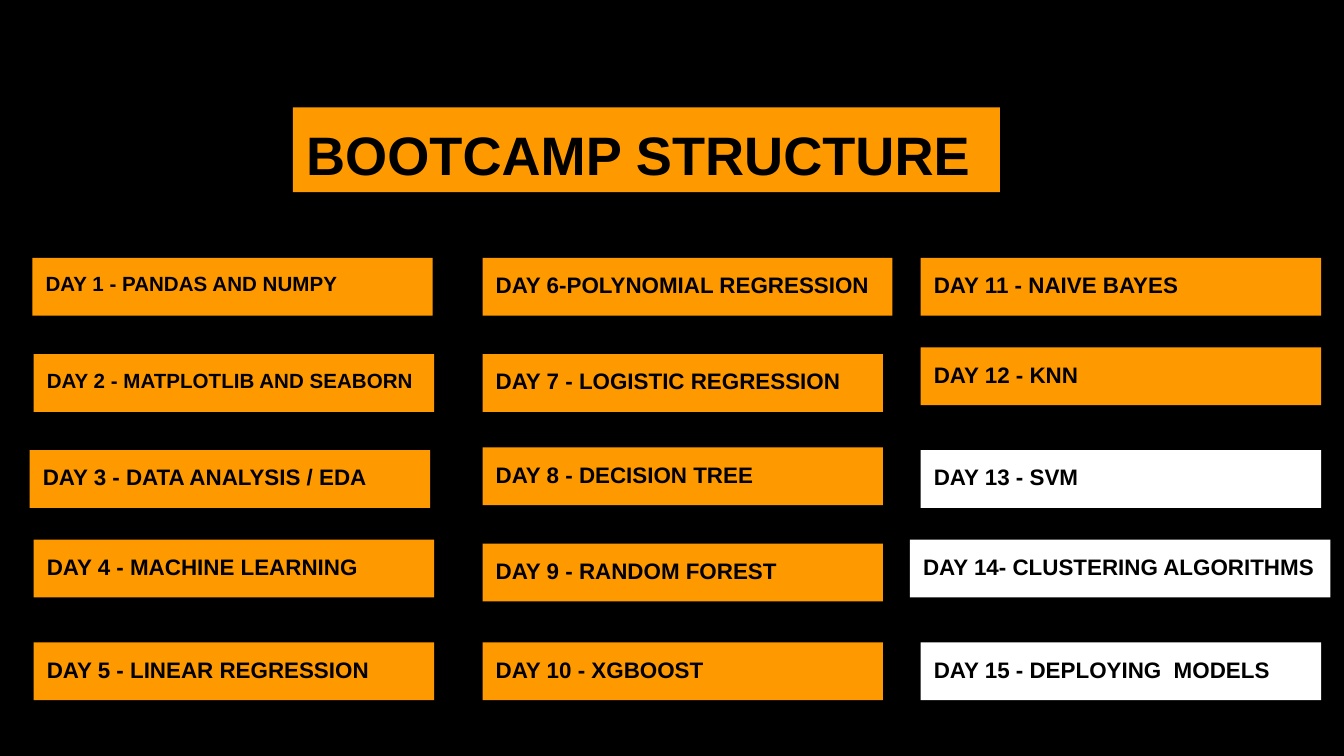
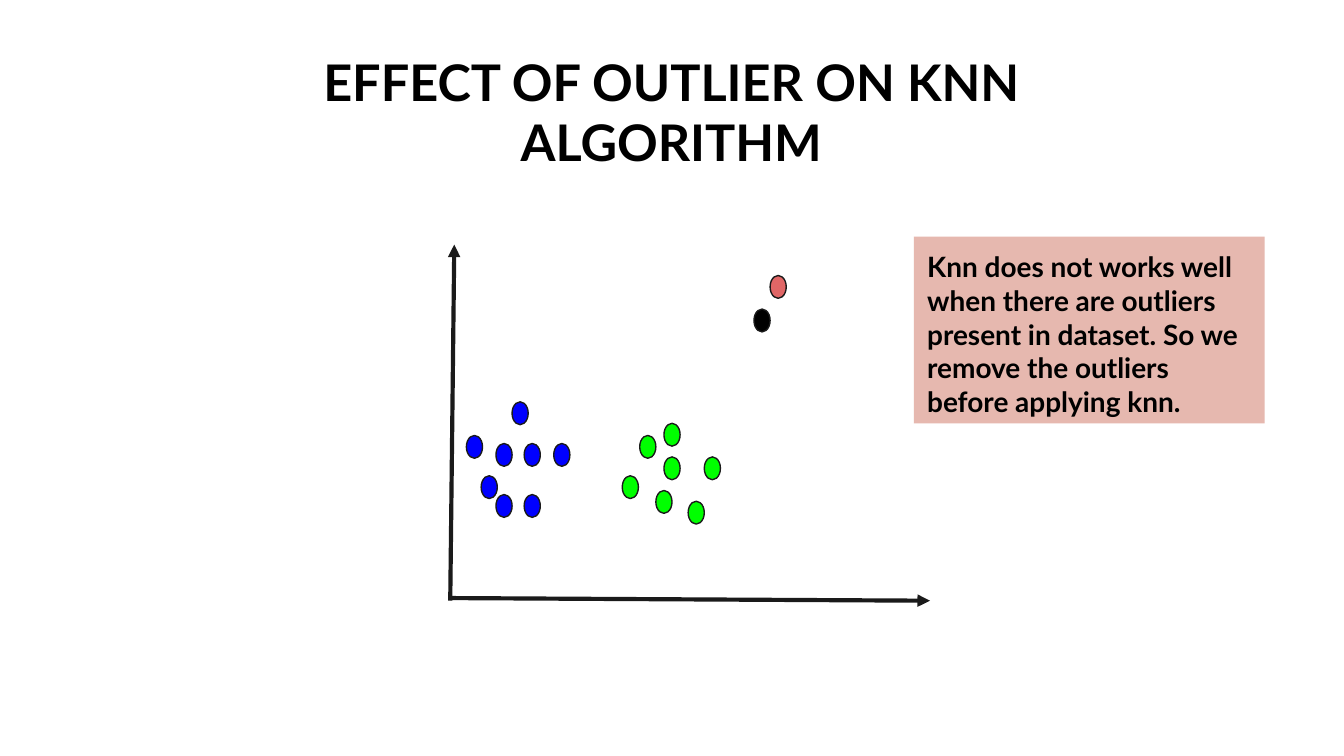
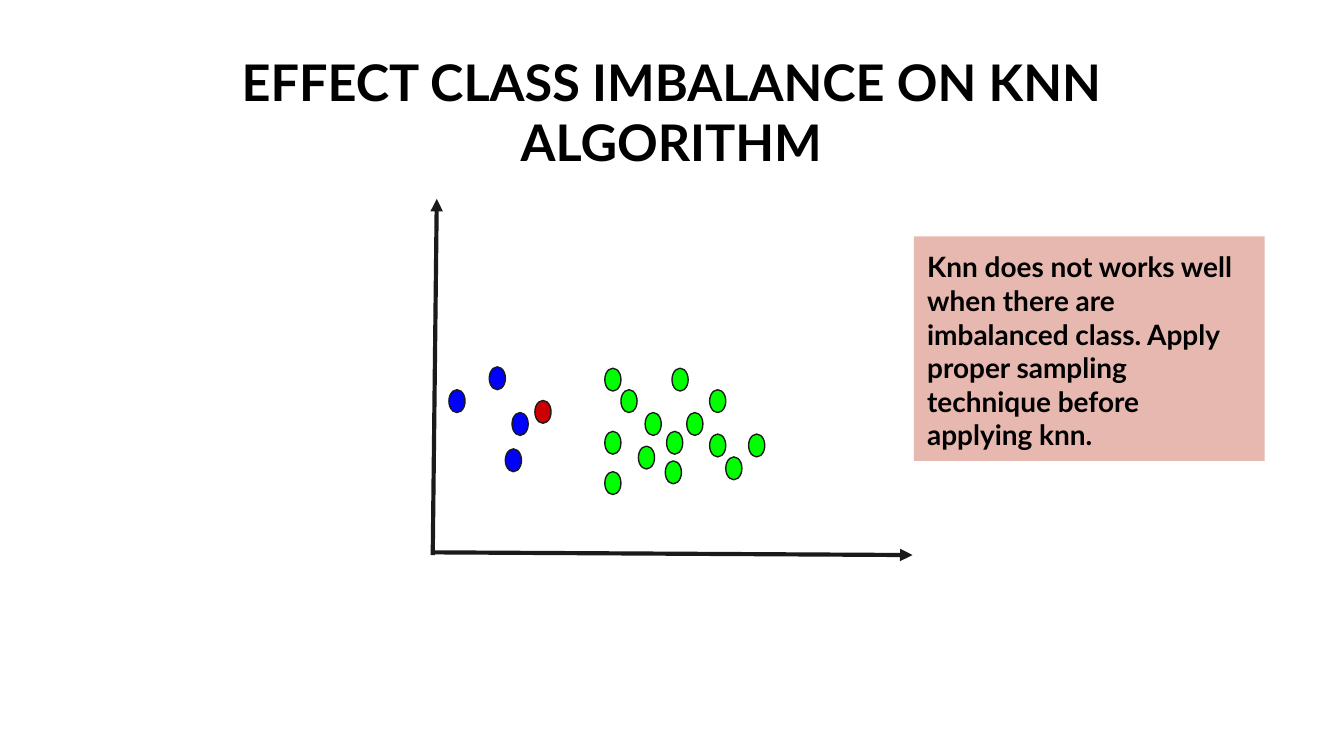
from dataclasses import dataclass

from lxml.etree import SubElement
from pptx import Presentation
from pptx.dml.color import RGBColor
from pptx.enum.shapes import MSO_CONNECTOR, MSO_SHAPE
from pptx.enum.text import MSO_ANCHOR, PP_ALIGN
from pptx.oxml.ns import qn
from pptx.util import Inches, Pt

BLACK = RGBColor(0x00, 0x00, 0x00)
WHITE = RGBColor(0xFF, 0xFF, 0xFF)
ORANGE = RGBColor(0xFF, 0x99, 0x00)
INK = RGBColor(0x1A, 0x1A, 0x1A)
BLUE = RGBColor(0x00, 0x00, 0xFF)
GREEN = RGBColor(0x00, 0xFF, 0x00)
CORAL = RGBColor(0xE0, 0x66, 0x66)
RED = RGBColor(0xCC, 0x00, 0x00)
PINK = RGBColor(0xE6, 0xB8, 0xAF)

SLIDE_WIDTH, SLIDE_HEIGHT = Inches(10), Inches(5.625)
GRID_COLUMNS = 100
CELL = SLIDE_WIDTH / GRID_COLUMNS  # all positions are counted in square cells
INSET = 1

DAY_COLUMNS = (2.5, 35.9, 68.5)
DAYS_PER_COLUMN = 5
FIRST_DAY_TOP, LAST_DAY_TOP = 19.2, 47.8
DAY_PITCH = (LAST_DAY_TOP - FIRST_DAY_TOP) / (DAYS_PER_COLUMN - 1)
DAY_HEIGHT = 4.3
DOT_SIZE = (1.2, 1.7)


@dataclass
class Day:
    label: str
    shift_x: float = 0
    shift_y: float = 0
    width: float = 29.8
    size: int = 12
    fill: RGBColor = ORANGE


DAYS = [
    Day("DAY 1 - PANDAS AND NUMPY", shift_x=-0.1, size=11),
    Day("DAY 2 - MATPLOTLIB AND SEABORN", size=11),
    Day("DAY 3 - DATA ANALYSIS / EDA", shift_x=-0.3),
    Day("DAY 4 - MACHINE LEARNING", shift_y=-0.5),
    Day("DAY 5 - LINEAR REGRESSION"),
    Day("DAY 6-POLYNOMIAL REGRESSION", width=30.5),
    Day("DAY 7 - LOGISTIC REGRESSION"),
    Day("DAY 8 - DECISION TREE", shift_y=-0.2),
    Day("DAY 9 - RANDOM FOREST", shift_y=-0.2),
    Day("DAY 10 - XGBOOST"),
    Day("DAY 11 - NAIVE BAYES"),
    Day("DAY 12 - KNN", shift_y=-0.5),
    Day("DAY 13 - SVM", fill=WHITE),
    Day("DAY 14- CLUSTERING ALGORITHMS", -0.8, -0.5, width=31.3, fill=WHITE),
    Day("DAY 15 - DEPLOYING  MODELS", fill=WHITE),
]

OUTLIER_DOTS = {
    BLUE: [(41.2, 33), (39, 33), (35.8, 35.4), (36.9, 33),
           (36.9, 36.8), (39, 36.8), (38.1, 29.9), (34.7, 32.4)],
    GREEN: [(49.4, 34), (47.6, 32.4), (49.4, 31.5), (46.3, 35.4),
            (48.8, 36.5), (52.4, 34), (51.2, 37.3)],
    CORAL: [(57.3, 20.5)],
    BLACK: [(56.1, 23)],
}
IMBALANCE_DOTS = {
    BLUE: [(38.1, 30.7), (36.4, 27.3), (37.6, 33.4), (33.4, 29)],
    GREEN: [(48, 30.7), (46.2, 29), (45, 27.4), (45, 32.1), (47.5, 33.2),
            (51.1, 30.7), (45, 35.1), (52.8, 32.3), (50, 27.4), (49.5, 34.3),
            (52.8, 29), (55.7, 32.3), (49.6, 32.1), (54, 34)],
    RED: [(39.8, 29.8)],
}


def cells(*counts):
    return [round(count * CELL) for count in counts]


def add_slide(presentation, background):
    slide = presentation.slides.add_slide(presentation.slide_layouts[6])
    slide.background.fill.solid()
    slide.background.fill.fore_color.rgb = background
    return slide


def write_text(shape, text, size, font_name, alignment=PP_ALIGN.LEFT):
    frame = shape.text_frame
    frame.word_wrap = True
    frame.vertical_anchor = MSO_ANCHOR.TOP
    frame.margin_left = frame.margin_right = cells(INSET)[0]
    frame.margin_top = frame.margin_bottom = cells(INSET)[0]
    paragraph = frame.paragraphs[0]
    paragraph.text = text
    paragraph.alignment = alignment
    font = paragraph.font
    font.name, font.size, font.bold = font_name, Pt(size), True
    font.color.rgb = BLACK


def add_filled_shape(slide, preset, box, fill):
    shape = slide.shapes.add_shape(preset, *cells(*box))
    shape.shadow.inherit = False
    shape.fill.solid()
    shape.fill.fore_color.rgb = fill
    shape.line.fill.background()
    return shape


def add_label(slide, box, text, size, fill, font_name):
    shape = add_filled_shape(slide, MSO_SHAPE.RECTANGLE, box, fill)
    write_text(shape, text, size, font_name)


def add_title(slide, text):
    box = slide.shapes.add_textbox(*cells(15.3, 2.8, 69.3, 10.7))
    write_text(box, text, 27, "Lato", PP_ALIGN.CENTER)


def add_arrow(slide, start, end):
    arrow = slide.shapes.add_connector(MSO_CONNECTOR.STRAIGHT, *cells(*start, *end))
    arrow.line.color.rgb = INK
    arrow.line.width = Pt(2.25)
    properties = arrow._element.spPr
    SubElement(properties.find(qn("a:ln")), qn("a:tailEnd"), type="triangle")
    SubElement(properties, qn("a:effectLst"))


def add_axes(slide, left, bottom):
    add_arrow(slide, (left, bottom - 0.2), (left + 35.7, bottom))
    add_arrow(slide, (left, bottom), (left + 0.3, bottom - 26.5))


def add_dots(slide, dots_by_colour):
    for colour, positions in dots_by_colour.items():
        for position in positions:
            dot = add_filled_shape(slide, MSO_SHAPE.FLOWCHART_CONNECTOR,
                                   (*position, *DOT_SIZE), colour)
            dot.line.color.rgb = INK
            dot.line.width = Pt(0.75)


def add_structure_slide(presentation):
    slide = add_slide(presentation, BLACK)
    add_label(slide, (21.8, 8, 52.6, 6.3), "BOOTCAMP STRUCTURE", 29, ORANGE, "Arial")
    for index, day in enumerate(DAYS):
        column, row = divmod(index, DAYS_PER_COLUMN)
        left = DAY_COLUMNS[column] + day.shift_x
        top = FIRST_DAY_TOP + row * DAY_PITCH + day.shift_y
        add_label(slide, (left, top, day.width, DAY_HEIGHT),
                  day.label, day.size, day.fill, "Arial")


def add_scatter_slide(presentation, title, origin, dots, note, note_height):
    slide = add_slide(presentation, WHITE)
    add_title(slide, title)
    add_axes(slide, *origin)
    add_dots(slide, dots)
    add_label(slide, (68, 17.6, 26.1, note_height), note, 15, PINK, "Lato")


def main():
    presentation = Presentation()
    presentation.slide_width, presentation.slide_height = SLIDE_WIDTH, SLIDE_HEIGHT
    add_structure_slide(presentation)
    add_scatter_slide(
        presentation, "EFFECT OF OUTLIER ON KNN ALGORITHM", (33.5, 44.7), OUTLIER_DOTS,
        "Knn does not works well when there are outliers present in dataset. "
        "So we remove the outliers before applying knn.", 13.9)
    add_scatter_slide(
        presentation, "EFFECT CLASS IMBALANCE ON KNN ALGORITHM", (32.2, 41.3), IMBALANCE_DOTS,
        "Knn does not works well when there are imbalanced class. "
        "Apply proper sampling technique before applying knn.", 16.7)
    presentation.save("out.pptx")


if __name__ == "__main__":
    main()
